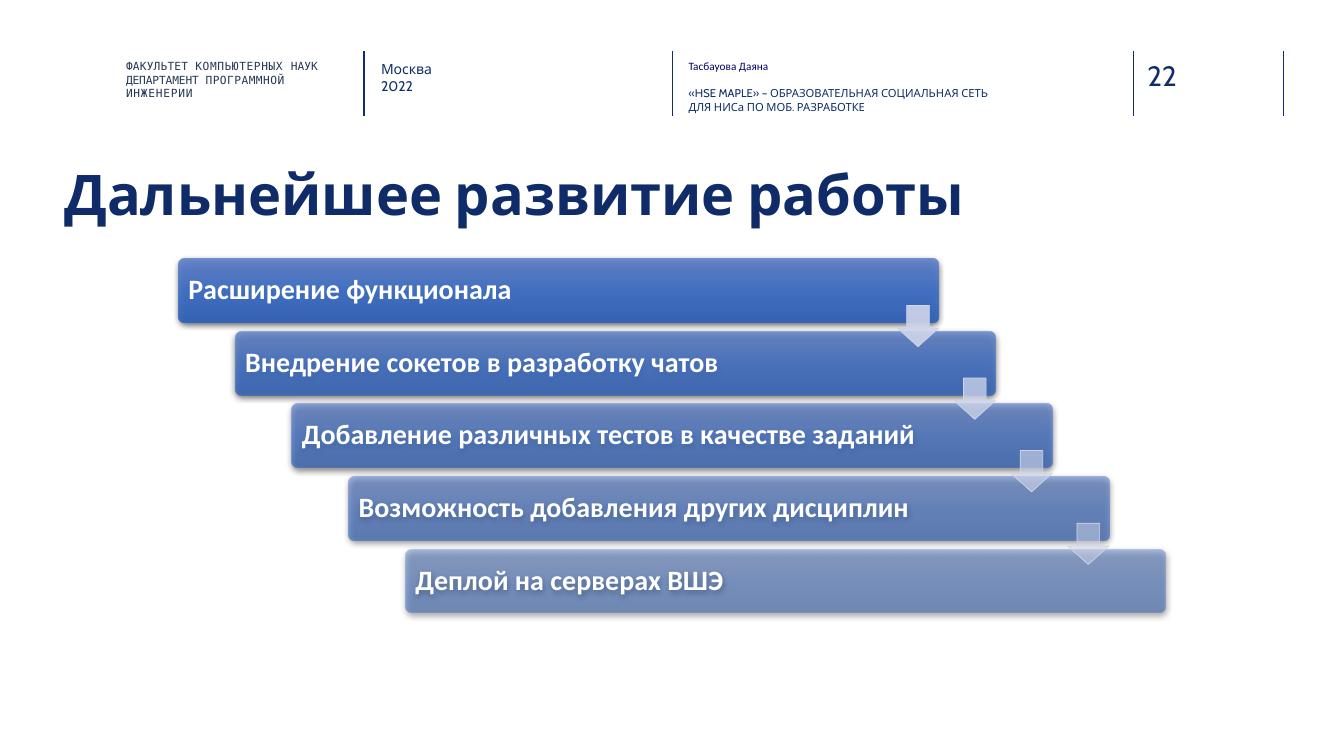
import pptx
import pptx.util
import pptx.dml.color
import pptx.enum.shapes
import pptx.enum.text
import pptx.oxml
import pptx.oxml.ns

Inches, Pt = pptx.util.Inches, pptx.util.Pt
RGB = pptx.dml.color.RGBColor
KINDS = pptx.enum.shapes.MSO_SHAPE
ANCHOR = pptx.enum.text.MSO_ANCHOR
ALIGN = pptx.enum.text.PP_ALIGN
NS = pptx.oxml.ns.nsdecls("a")

# Content
TITLE = "Дальнейшее развитие работы"
STEPS = [
    "Расширение функционала",
    "Внедрение сокетов в разработку чатов",
    "Добавление различных тестов в качестве заданий",
    "Возможность добавления других дисциплин",
    "Деплой на серверах ВШЭ",
]
# Runs of the faculty lines, with letter spacing in 1/100 pt
UNIT = [
    [("ФАКУЛЬТЕТ ", 10), ("КОМПЬЮТЕРНЫХ ", 40), ("НАУК", 0)],
    [("ДЕПАРТАМЕНТ ", -10), ("ПРОГРАММНОЙ ", 30), ("ИНЖЕНЕРИИ", 50)],
]
PLACE = ["Москва", "2022"]
AUTHOR = "Тасбауова Даяна"
TOPIC = "«HSE MAPLE» – ОБРАЗОВАТЕЛЬНАЯ СОЦИАЛЬНАЯ СЕТЬ\vДЛЯ НИСа ПО МОБ. РАЗРАБОТКЕ"
PAGE = "22"

# Colours
NAVY = RGB(0x10, 0x2D, 0x69)
HEAD = RGB(0x0F, 0x2C, 0x68)
INK = RGB(0x0E, 0x2D, 0x69)
SLATE = RGB(0x26, 0x37, 0x54)
DEEP = RGB(0x00, 0x00, 0x66)
WHITE = RGB(0xFF, 0xFF, 0xFF)
PALE = RGB(0xCF, 0xD5, 0xEA)
BLUES = [RGB(0x61, 0x83, 0xCB), RGB(0x3E, 0x70, 0xCA), RGB(0x30, 0x62, 0xBB)]

# Grid, in inches
RULES = [3.61, 6.67, 11.24, 12.73]
RULE_Y = (0.51, 1.15)
BAR = (1.77, 2.57, 7.54, 0.63)
ARROW = (8.9, 3.03, 0.41, 0.41)
STEP_X, STEP_Y = 0.563, 0.72

deck = pptx.Presentation()
deck.slide_width, deck.slide_height = Inches(13.33), Inches(7.5)
slide = deck.slides.add_slide(deck.slide_layouts[5])
shapes = slide.shapes


def style(par, size, face, color, bold=False):
    font = par.font
    font.size, font.name, font.bold = Pt(size), face, bold
    font.color.rgb = color


def inset(frame, gap=0, anchor=ANCHOR.TOP):
    frame.word_wrap = True
    frame.vertical_anchor = anchor
    frame.margin_left = frame.margin_right = Inches(gap)
    frame.margin_top = frame.margin_bottom = Inches(gap)


def label(box, pars):
    """Add a text box; each paragraph is (text, size, face, color)."""
    frame = shapes.add_textbox(*map(Inches, box)).text_frame
    inset(frame)
    for i, (text, *look) in enumerate(pars):
        par = frame.add_paragraph() if i else frame.paragraphs[0]
        par.text = text
        style(par, *look)
    return frame


def fade(shape, share):
    for color in shape.element.spPr.iter(pptx.oxml.ns.qn("a:srgbClr")):
        color.append(pptx.oxml.parse_xml(f'<a:alpha {NS} val="{round(share * 1000)}"/>'))


def place(kind, box, i):
    x, y, w, h = box
    spot = (x + i * STEP_X, y + i * STEP_Y, w, h)
    return shapes.add_shape(kind, *map(Inches, spot))


# Title
head = shapes.title
head.left, head.top, head.width, head.height = map(Inches, (0.64, 1.58, 12.09, 0.85))
inset(head.text_frame)
head.text_frame.text = TITLE
par = head.text_frame.paragraphs[0]
par.alignment = ALIGN.LEFT
style(par, 40, "Cabin", HEAD, True)

# Header rules
for x in RULES:
    rule = shapes.add_connector(
        pptx.enum.shapes.MSO_CONNECTOR.STRAIGHT,
        Inches(x), Inches(RULE_Y[0]), Inches(x), Inches(RULE_Y[1]))
    rule.line.color.rgb, rule.line.width = NAVY, Pt(1)
    rule.element.spPr.append(pptx.oxml.parse_xml(f"<a:effectLst {NS}/>"))

# Header texts
unit = label((1.25, 0.59, 2.08, 0.45), [("", 8, "DejaVu Sans Mono", SLATE)] * len(UNIT))
for par, runs in zip(unit.paragraphs, UNIT):
    for text, gap in runs:
        run = par.add_run()
        run.text = text
        run.font.element.set("spc", str(gap)) if hasattr(run.font, "element") else \
            run._r.get_or_add_rPr().set("spc", str(gap))
label((3.78, 0.6, 2.26, 0.45), [(text, 10, "Cabin", INK) for text in PLACE])
topic = label((6.83, 0.59, 4.34, 0.45),
              [(AUTHOR, 8, "Calibri", DEEP), (TOPIC, 8, "Cabin", INK)])
topic.paragraphs[1].space_before = Pt(9.8)
label((11.38, 0.58, 0.73, 0.34), [(PAGE, 20, "Cabin", NAVY)])

# Staircase of bars, each paler than the one before
for i, text in enumerate(STEPS):
    bar = place(KINDS.ROUNDED_RECTANGLE, BAR, i)
    bar.adjustments[0] = 0.1
    bar.line.fill.background()
    stops = "".join(f'<a:gs pos="{n * 50000}"><a:srgbClr val="{blue}"/></a:gs>'
                    for n, blue in enumerate(BLUES))
    props = bar.element.spPr
    props.insert(2, pptx.oxml.parse_xml(
        f'<a:gradFill {NS} rotWithShape="1"><a:gsLst>{stops}</a:gsLst>'
        '<a:lin ang="5400000" scaled="0"/></a:gradFill>'))
    fade(bar, 90 - 10 * i)
    props.append(pptx.oxml.parse_xml(
        f'<a:effectLst {NS}><a:outerShdw blurRad="{Pt(4.5)}" dist="{Pt(1.5)}" '
        'dir="5400000" algn="ctr" rotWithShape="0"><a:srgbClr val="000000">'
        '<a:alpha val="63000"/></a:srgbClr></a:outerShdw></a:effectLst>'))
    inset(bar.text_frame, 0.08, ANCHOR.MIDDLE)
    par = bar.text_frame.paragraphs[0]
    par.text, par.alignment, par.line_spacing = text, ALIGN.LEFT, 0.9
    style(par, 20, "Calibri", WHITE, True)

# Arrows from bar to bar
for i in range(len(STEPS) - 1):
    arrow = place(KINDS.DOWN_ARROW, ARROW, i)
    arrow.shadow.inherit = False
    arrow.adjustments[0], arrow.adjustments[1] = 0.45, 0.55
    arrow.fill.solid()
    arrow.fill.fore_color.rgb = PALE
    fade(arrow, 90 - 40 * i / 3)
    arrow.line.color.rgb, arrow.line.width = PALE, Pt(0.5)
    arrow.line.fill.fore_color.rgb = PALE
    arrow.adjustments[0], arrow.adjustments[1] = 0.55, 0.45

deck.save("out.pptx")
